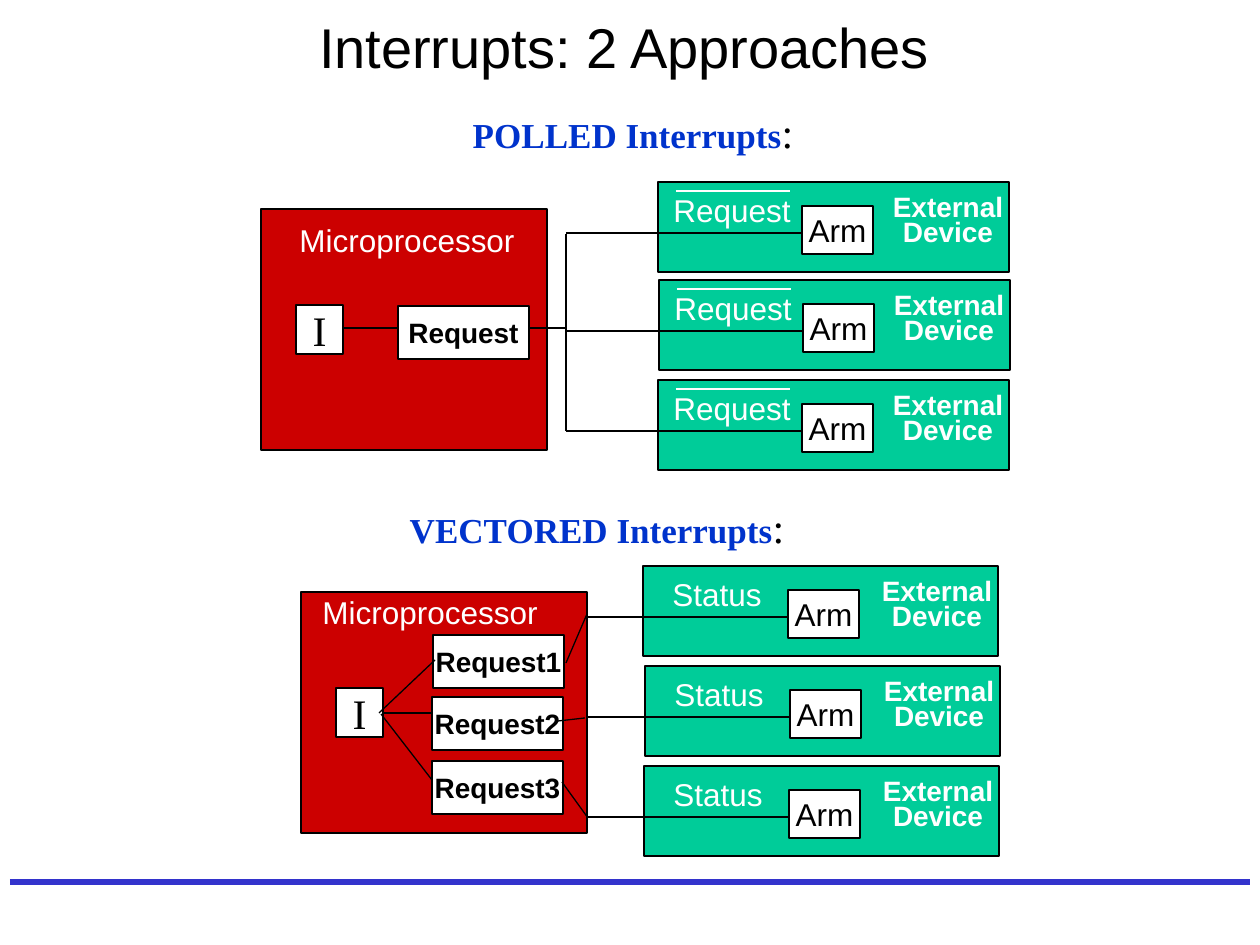
from lxml import etree
from pptx import Presentation
from pptx.dml.color import RGBColor
from pptx.enum.shapes import MSO_CONNECTOR, MSO_SHAPE
from pptx.enum.text import MSO_ANCHOR, MSO_AUTO_SIZE, PP_ALIGN
from pptx.oxml.ns import qn
from pptx.util import Pt

SCALE = 914400 / 126
COLORS = {"black": "000000", "white": "FFFFFF", "green": "00CC99",
          "red": "CC0000", "blue": "0033CC", "rule": "3333CC"}
FORMATS = {
    "title": {"name": "Arial", "size": Pt(32), "bold": False},
    "label": {"name": "Arial", "size": Pt(18), "bold": False},
    "strong": {"name": "Arial", "size": Pt(16), "bold": True},
    "flag": {"name": "Times New Roman", "size": Pt(24), "bold": False},
    "heading": {"name": "Times New Roman", "size": Pt(20), "bold": True},
}

deck = Presentation()
deck.slide_width, deck.slide_height = round(1260 * SCALE), round(945 * SCALE)
page = deck.slides.add_slide(deck.slide_layouts[5])


def add_box(place, lines=(), fill=None, color="black", spacing=None):
    """Add a filled box or a plain text box; each line lists (text, format) spans."""
    area = [round(value * SCALE) for value in place]
    if fill:
        box = page.shapes.add_shape(MSO_SHAPE.RECTANGLE, *area)
        box.shadow.inherit = False
        box.fill.solid()
        box.fill.fore_color.rgb = RGBColor.from_string(COLORS[fill])
        box.line.color.rgb = RGBColor.from_string(COLORS["black"])
        box.line.width = Pt(0.74)
        box.text_frame.vertical_anchor = MSO_ANCHOR.MIDDLE
    else:
        box = page.shapes.add_textbox(*area)
        box.text_frame.auto_size = MSO_AUTO_SIZE.SHAPE_TO_FIT_TEXT
    frame = box.text_frame
    frame.word_wrap = not fill
    for index, spans in enumerate(lines):
        para = frame.add_paragraph() if index else frame.paragraphs[0]
        para.alignment = PP_ALIGN.CENTER
        para.line_spacing = spacing
        for text, style in spans:
            span = para.add_run()
            span.text = text
            for key, value in FORMATS[style].items():
                setattr(span.font, key, value)
            shade = "blue" if style == "heading" else color
            span.font.color.rgb = RGBColor.from_string(COLORS[shade])


def add_line(*ends, color="black", width=0.74):
    line = page.shapes.add_connector(
        MSO_CONNECTOR.STRAIGHT, *[round(value * SCALE) for value in ends])
    line.line.color.rgb = RGBColor.from_string(COLORS[color])
    line.line.width = Pt(width)
    etree.SubElement(line._element.spPr, qn("a:effectLst"))


# Title and bottom rule
add_line(10, 882, 1250, 882, color="rule", width=3)
title = page.shapes.title
title.left, title.top, title.width, title.height = [
    round(value * SCALE) for value in (89, 18, 1071, 57)]
title.text_frame.text = "Interrupts: 2 Approaches"
title.text_frame.auto_size = MSO_AUTO_SIZE.NONE
title.text_frame.vertical_anchor = MSO_ANCHOR.MIDDLE
title.text_frame.paragraphs[0].alignment = PP_ALIGN.CENTER
title_font = title.text_frame.paragraphs[0].runs[0].font
for key, value in FORMATS["title"].items():
    setattr(title_font, key, value)
title_font.color.rgb = RGBColor.from_string(COLORS["black"])

# External devices: signal, width, arm offset, wire start, positions
device_groups = [
    ("Request", 351, 144, 566, [(658, 182), (659, 280), (658, 380)]),
    ("Status", 355, 145, 550, [(643, 566), (645, 666), (644, 766)]),
]
for signal, width, arm, wire_start, corners in device_groups:
    for left, top in corners:
        add_box((left, top, width, 90), fill="green")
        add_box((left + arm, top + 24, 71, 48), [[("Arm", "label")]], fill="white")
        add_box((left, top + 3, 148, 50), [[(signal, "label")]], color="white")
        add_box((left + width - 145, top + 9, 168, 63),
                [[("External", "strong")], [("Device", "strong")]],
                color="white", spacing=0.75)
        if signal == "Request":
            add_line(left + 18, top + 9, left + 132, top + 9, color="white")
        add_line(left + arm, top + 51, wire_start, top + 51)

# Microprocessors: corner, label corner, request registers
processors = [
    ((261, 209), (252, 215), [("Request", 398, 306)]),
    ((301, 592), (275, 587), [("Request1", 433, 635), ("Request2", 432, 697),
                              ("Request3", 432, 761)]),
]
for (left, top), (label_left, label_top), registers in processors:
    add_box((left, top, 286, 241), fill="red")
    add_box((left + 35, top + 96, 47, 49), [[("I", "flag")]], fill="white")
    for name, register_left, register_top in registers:
        add_box((register_left, register_top, 131, 53),
                [[(name, "strong")]], fill="white")
    add_box((label_left, label_top, 310, 50),
            [[("Microprocessor", "label")]], color="white")

# Wires between flag, registers and devices
wires = [
    (566, 234, 566, 431), (343, 328, 399, 328), (530, 328, 566, 328),
    (379, 713, 435, 660), (381, 714, 432, 780), (383, 713, 432, 713),
    (566, 663, 587, 614), (562, 782, 588, 818), (585, 718, 558, 721),
]
for wire in wires:
    add_line(*wire)

# Section headings
for heading, left, top in [("POLLED Interrupts", 193, 100),
                           ("VECTORED Interrupts", 157, 495)]:
    add_box((left, top, 880, 63), [[(heading, "heading"), (":", "flag")]])

deck.save("out.pptx")
